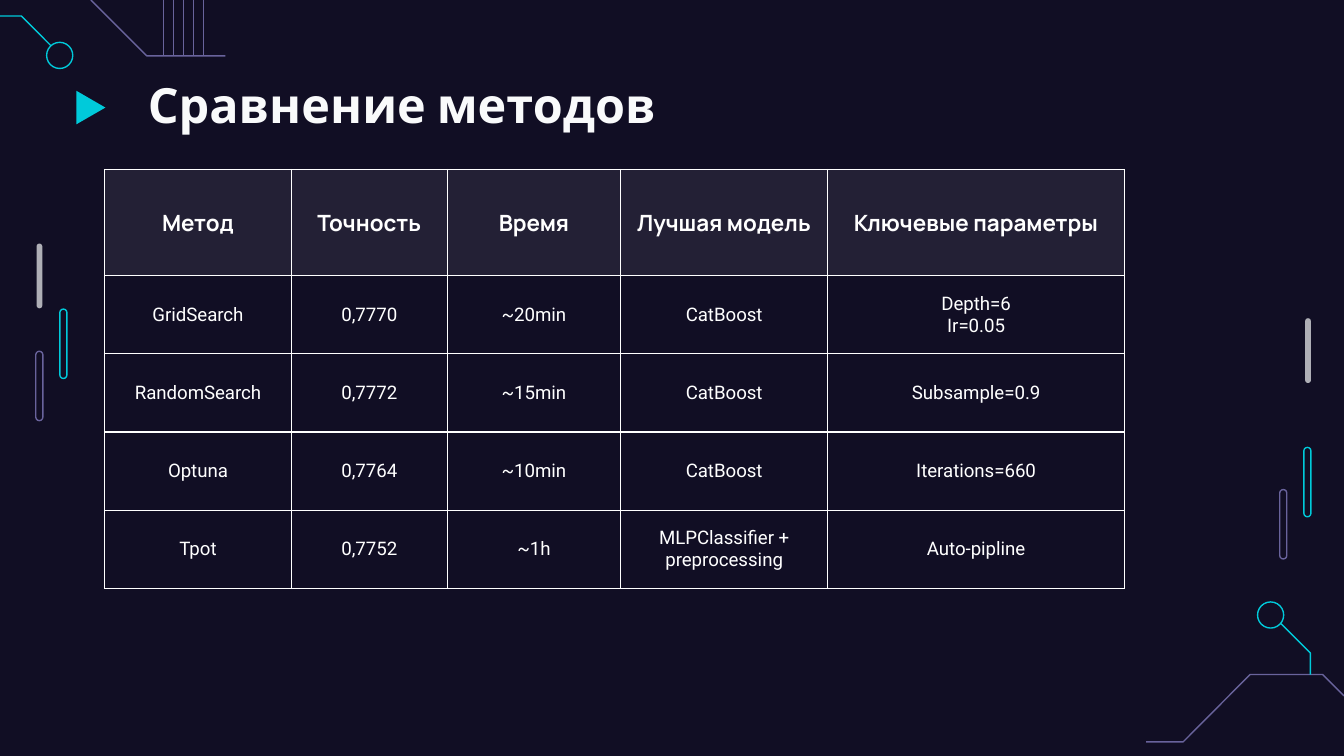
from lxml.etree import SubElement as Sub
from pptx import Presentation as Deck
from pptx.dml.color import RGBColor as Rgb
from pptx.enum.shapes import MSO_CONNECTOR as Link, MSO_SHAPE as Kind
from pptx.enum.text import MSO_ANCHOR as Anchor, MSO_AUTO_SIZE as Fit, PP_ALIGN as Align
from pptx.oxml import parse_xml as to_xml
from pptx.oxml.ns import nsdecls as names, qn
from pptx.util import Pt

NIGHT, CYAN, MAUVE, GREY, WHITE = "110E24", "00CADA", "69639C", "AFAFB6", "FFFFFF"
ROWS = [
    ["Метод", "Точность", "Время", "Лучшая модель", "Ключевые параметры"],
    ["GridSearch", "0,7770", "~20min", "CatBoost", "Depth=6\nIr=0.05"],
    ["RandomSearch", "0,7772", "~15min", "CatBoost", "Subsample=0.9"],
    ["Optuna", "0,7764", "~10min", "CatBoost", "Iterations=660"],
    ["Tpot", "0,7752", "~1h", "MLPClassifier + preprocessing", "Auto-pipline"],
]
SHARES = [100.1, 83.5, 92.9, 110.9, 159.1]


def paint(form, tone):
    form.solid()
    form.fore_color.rgb = Rgb.from_string(tone)


def style(shape, fill=None, line=None):
    shape.shadow.inherit = False
    if fill:
        paint(shape.fill, fill)
    else:
        shape.fill.background()
    if line:
        paint(shape.line.fill, line)
        shape.line.width = Pt(0.75)
    else:
        shape.line.fill.background()


def write(par, text, face, size, bold, tone):
    run = par.add_run()
    run.text = text
    font = run.font
    font.name, font.size, font.bold = face, Pt(size), bold
    font.color.rgb = Rgb.from_string(tone)


def add(slide, kind, box, fill=None, line=None):
    shape = slide.shapes.add_shape(kind, *map(Pt, box))
    style(shape, fill, line)
    return shape


def trace(slide, box, spots, tone):
    spots = [(Pt(box[0] + x), Pt(box[1] + y)) for x, y in spots]
    pen = slide.shapes.build_freeform(*spots[0])
    pen.add_line_segments(spots[1:], close=False)
    style(pen.convert_to_shape(), line=tone)


def corner(slide, box, edge, lead, hub):
    trace(slide, box, edge, MAUVE)
    trace(slide, box, lead, CYAN)
    add(slide, Kind.OVAL, (box[0] + hub[0] - 7, box[1] + hub[1] - 7, 14, 14), line=CYAN)


def comb(slide, box, count):
    left, top, wide, high = box
    for i in range(count):
        x = Pt(left + wide * i / (count - 1))
        line = slide.shapes.add_connector(Link.STRAIGHT, x, Pt(top + high), x, Pt(top))
        paint(line.line.fill, MAUVE)
        line.line.width = Pt(0.75)
        Sub(line._element.spPr, qn("a:effectLst"))


def pills(slide, box, shift):
    left, top, wide, high = box
    base = top + high
    for x, y, w, h, fill, line in [
        (left + shift, top, 3.1, 34.7, GREY, None),
        (left + wide - 3.8, base - 59.8, 3.8, 37.2, None, CYAN),
        (left, base - 37.2, 3.8, 37.2, None, MAUVE),
    ]:
        pill = add(slide, Kind.ROUNDED_RECTANGLE, (x, y, w, h), fill, line)
        pill.adjustments[0] = 0.5


def title(slide, box, text):
    left, top, wide, high = box
    mark = add(slide, Kind.FLOWCHART_MERGE, (left - 32.3, top + 6.6, 18, 15.6), CYAN)
    mark.rotation = 270
    head = slide.shapes.title
    head.left, head.top, head.width, head.height = map(Pt, box)
    frame = head.text_frame
    frame.word_wrap = True
    frame.auto_size = Fit.SHAPE_TO_FIT_TEXT
    frame.vertical_anchor = Anchor.BOTTOM
    par = frame.paragraphs[0]
    par.alignment = Align.LEFT
    par.line_spacing, par.space_before, par.space_after = Pt(22.5), Pt(24), Pt(12)
    write(par, text, "Cabin", 26, True, "F9FAFB")


def border(cell):
    props = cell._tc.get_or_add_tcPr()
    for i, side in enumerate("LRTB"):
        props.insert(i, to_xml(
            f'<a:ln{side} {names("a")} w="{Pt(0.75)}"><a:solidFill>'
            f'<a:srgbClr val="{WHITE}"/></a:solidFill></a:ln{side}>'))


def fill_cell(cell, text, head):
    paint(cell.fill, WHITE if head else NIGHT)
    if head:
        tone = cell._tc.tcPr.find(".//" + qn("a:srgbClr"))
        Sub(tone, qn("a:alpha"), val="8000")
    border(cell)
    cell.vertical_anchor = Anchor.MIDDLE
    cell.margin_left = cell.margin_right = Pt(7.2)
    cell.margin_top = cell.margin_bottom = Pt(7.2)
    frame = cell.text_frame
    for i, part in enumerate(text.split("\n")):
        par = frame.add_paragraph() if i else frame.paragraphs[0]
        par.alignment = Align.CENTER
        write(par, part, "Manrope" if head else "Roboto", 12 if head else 10, head, WHITE)


def table(slide, box, rows):
    high = box[3]
    top = 56.9
    grid = slide.shapes.add_table(len(rows), len(rows[0]), *map(Pt, box)).table
    grid.first_row = grid.horz_banding = False
    for col, share in zip(grid.columns, SHARES):
        col.width = Pt(box[2] * share / sum(SHARES))
    for i, row in enumerate(rows):
        grid.rows[i].height = Pt((high - top) / (len(rows) - 1) if i else top)
        for j, text in enumerate(row):
            fill_cell(grid.cell(i, j), text, i == 0)


def main():
    deck = Deck()
    deck.slide_width, deck.slide_height = Pt(720), Pt(405)
    slide = deck.slides.add_slide(deck.slide_layouts[5])
    paint(slide.background.fill, NIGHT)
    pills(slide, (19.2, 130.5, 16.7, 94.9), 0.4)
    pills(slide, (685.6, 170.5, 16.7, 129), 13.6)
    corner(slide, (0, 0, 120.8, 37),
           [(120.8, 29.9), (78.6, 29.9), (48.7, 0)],
           [(27.3, 24.5), (11.5, 8.6), (0, 8.6)], (32, 29.7))
    comb(slide, (87.6, 0, 21.4, 29.9), 5)
    corner(slide, (614, 322.5, 106, 75),
           [(0, 75), (19.8, 75), (55.7, 38.9), (94.6, 38.9), (106, 50.3)],
           [(72.2, 11.6), (88, 27.4), (88, 38.9)], (66.7, 7))
    title(slide, (72, 43.2, 450.7, 31.7), "Сравнение методов")
    table(slide, (56, 90.8, 546.5, 224.5), ROWS)
    deck.save("out.pptx")


if __name__ == "__main__":
    main()
